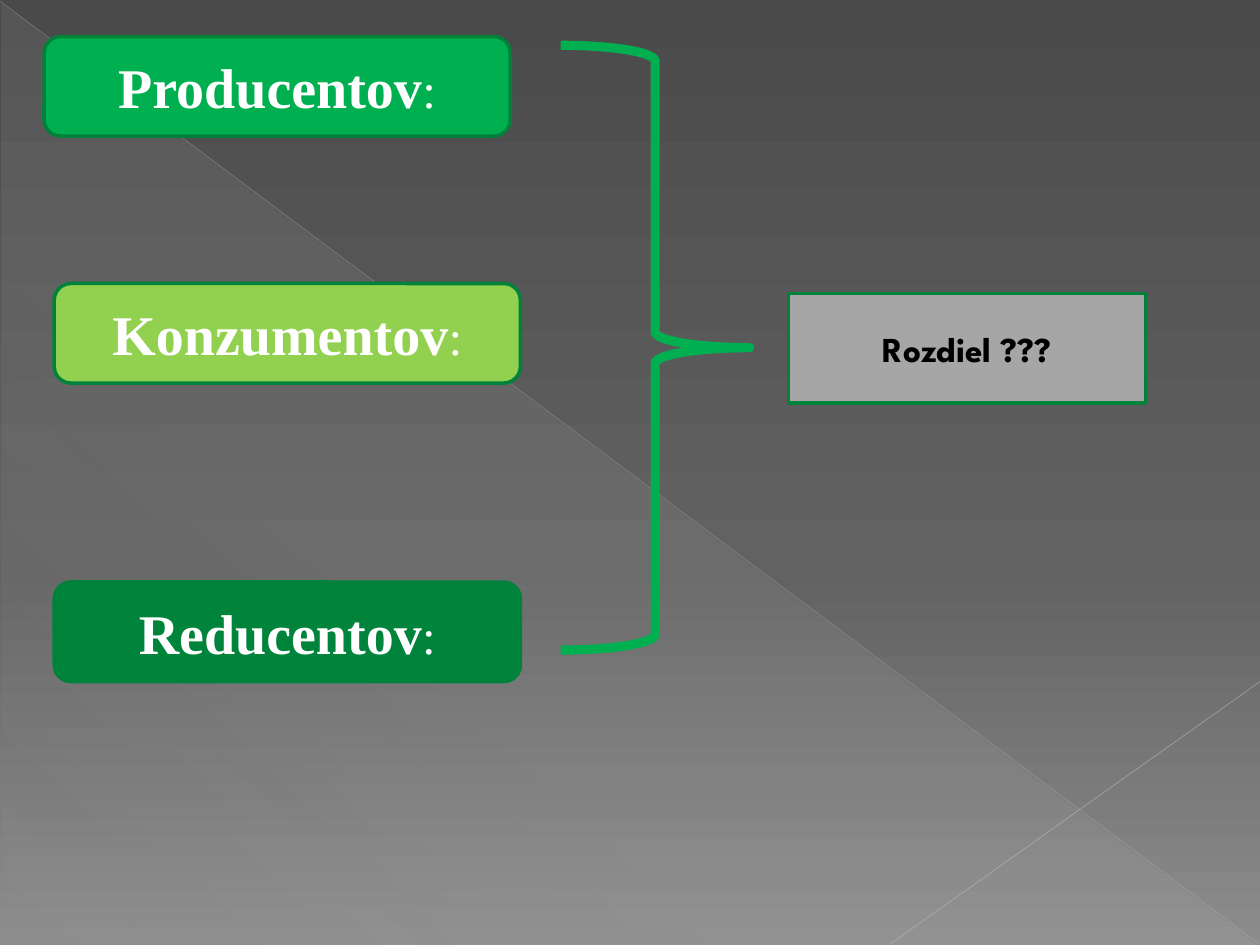
from pptx import Presentation
from pptx.dml.color import RGBColor
from pptx.enum.shapes import MSO_CONNECTOR as CONN, MSO_SHAPE as SHAPE
from pptx.enum.text import MSO_ANCHOR, PP_ALIGN
from pptx.oxml import parse_xml
from pptx.oxml.ns import nsdecls, qn
from pptx.util import Pt

SERIF, SANS = "Times New Roman", "League Spartan"
BORDER = "00823B"

# Gradient stops: position %, colour, opacity %
BACKGROUND = [(0, "4A4A4A", 100), (60, "626262", 100), (100, "8C8C8C", 100)]
TRIANGLE = [(0, "D2D2D2", 10), (70, "D2D2D2", 8), (100, "D2D2D2", 1)]

# Start, end, colour, width, opacity %
DIAGONALS = [
    ((0, 0.72), (719.28, 539.28), "BFBFBF", 0.39, 35),
    ((720, 389.5), (509, 539.28), "C6C6C6", 0.47, 45),
]

# Text, left, top, fill
GROUPS = [
    ("Producentov", 25.2, 20.9, "00B050"),
    ("Konzumentov", 31, 162, "92D050"),
    ("Reducentov", 31, 332.6, "00843C"),
]
GROUP_SIZE = (266.4, 56.9)
NAME_FONT = dict(name=SERIF, size=Pt(32), bold=True)
COLON_FONT = dict(name=SERIF, size=Pt(28), bold=False)
QUESTION_FONT = dict(name=SANS, size=Pt(20), bold=True)


def rgb(color):
    return RGBColor.from_string(color)


def set_gradient(parent, stops, angle):
    """Replace the solid fill in parent with a linear gradient."""
    gs = "".join(
        f'<a:gs pos="{pos * 1000}"><a:srgbClr val="{color}">'
        f'<a:alpha val="{alpha * 1000}"/></a:srgbClr></a:gs>'
        for pos, color, alpha in stops)
    grad = parse_xml(
        f'<a:gradFill {nsdecls("a")} rotWithShape="1"><a:gsLst>{gs}</a:gsLst>'
        f'<a:lin ang="{angle * 60000}" scaled="0"/></a:gradFill>')
    parent.replace(parent.find(qn("a:solidFill")), grad)


def add_shape(slide, kind, box, fill=None, line=None, width=2):
    sp = slide.shapes.add_shape(kind, *map(Pt, box))
    sp.shadow.inherit = False
    if fill:
        sp.fill.solid()
        sp.fill.fore_color.rgb = rgb(fill)
    else:
        sp.fill.background()
    if line:
        sp.line.color.rgb = rgb(line)
        sp.line.width = Pt(width)
    else:
        sp.line.fill.background()
    return sp


def add_text(sp, runs, color):
    tf = sp.text_frame
    tf.word_wrap = True
    tf.vertical_anchor = MSO_ANCHOR.MIDDLE
    p = tf.paragraphs[0]
    p.alignment = PP_ALIGN.CENTER
    for text, font in runs:
        r = p.add_run()
        r.text = text
        r.font.color.rgb = rgb(color)
        for key, value in font.items():
            setattr(r.font, key, value)


def add_diagonal(slide, start, end, color, width, alpha):
    line = slide.shapes.add_connector(CONN.STRAIGHT, *map(Pt, start + end))
    line.line.color.rgb = rgb(color)
    line.line.width = Pt(width)
    sppr = line.element.spPr
    sppr.find(".//" + qn("a:srgbClr")).append(
        parse_xml(f'<a:alpha {nsdecls("a")} val="{alpha * 1000}"/>'))
    sppr.append(parse_xml(f'<a:effectLst {nsdecls("a")}/>'))


prs = Presentation()
prs.slide_width, prs.slide_height = Pt(720), Pt(540)
slide = prs.slides.add_slide(prs.slide_layouts[6])

slide.background.fill.solid()
set_gradient(slide.element.find(".//" + qn("p:bgPr")), BACKGROUND, 90)

triangle = add_shape(slide, SHAPE.RIGHT_TRIANGLE, (0.72, 1.44, 718.56, 538.56), "D2D2D2")
set_gradient(triangle.element.spPr, TRIANGLE, 133)
for diagonal in DIAGONALS:
    add_diagonal(slide, *diagonal)

for name, left, top, fill in GROUPS:
    group = add_shape(slide, SHAPE.ROUNDED_RECTANGLE, (left, top, *GROUP_SIZE), fill, BORDER)
    add_text(group, [(name, NAME_FONT), (":", COLON_FONT)], "FFFFFF")

add_shape(slide, SHAPE.RIGHT_BRACE, (320.4, 25.9, 108, 345.6), line="00B050", width=5.25)
question = add_shape(slide, SHAPE.RECTANGLE, (450.7, 167.8, 203.8, 62.6), "A6A6A6", BORDER)
add_text(question, [("Rozdiel ???", QUESTION_FONT)], "000000")

prs.save("out.pptx")
